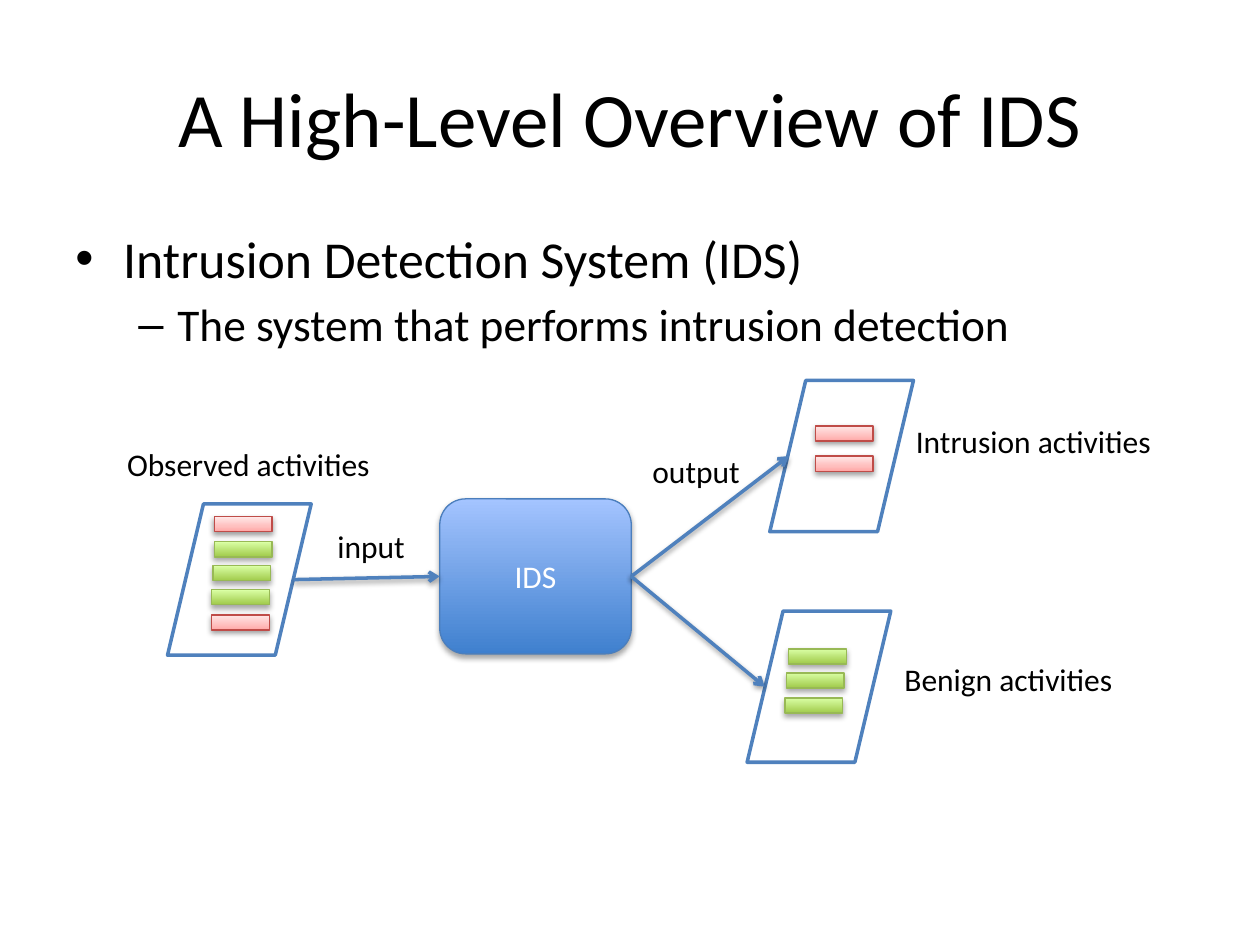
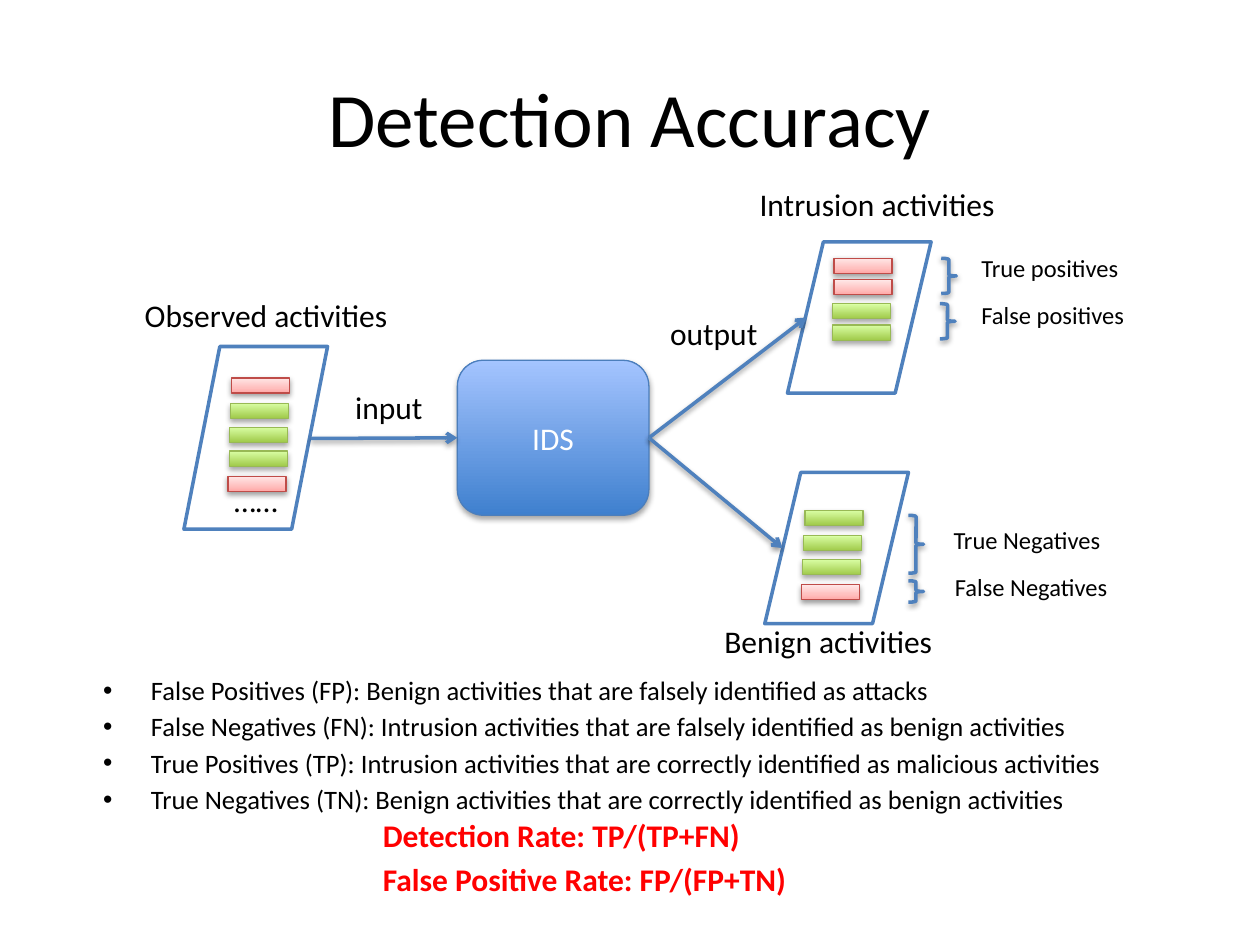
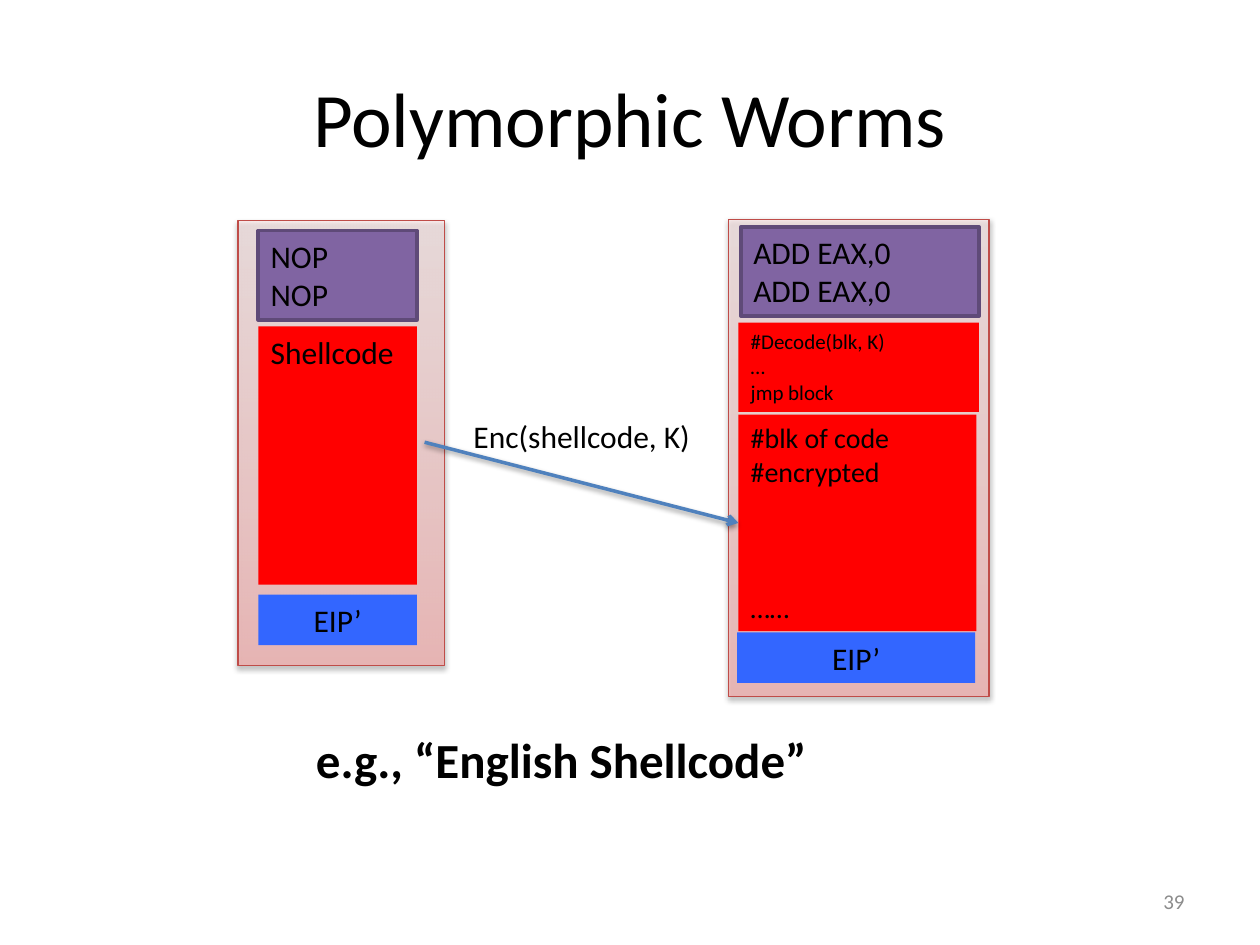
from dataclasses import dataclass
from typing import Any, NamedTuple, Optional

from lxml.etree import SubElement
from pptx import Presentation
from pptx.dml.color import RGBColor
from pptx.enum.shapes import MSO_CONNECTOR, MSO_SHAPE
from pptx.enum.text import MSO_ANCHOR, PP_ALIGN
from pptx.oxml.ns import qn
from pptx.util import Pt

PX = 9144
FONT = "Calibri"
LINE_GAP = 0.17
LEFT_SIDE, RIGHT_SIDE = 1, 3
TOKEN_SIZE = (46, 12)
COLORS = {
    "ink": "000000",
    "paper": "FFFFFF",
    "accent": "4F81BD",
    "system_edge": "4B7EBC",
    "attack_edge": "BF4C48",
    "benign_edge": "98B955",
    "sled": "8064A2",
    "sled_edge": "5F4A78",
    "code": "FF0000",
    "address": "3366FF",
    "page": "8C8C8C",
}
GRADIENTS = {
    "system": ((0, "3F80CE"), (100, "A4C4FF")),
    "attack": ((0, "FFA6A5"), (35, "FFC0BF"), (100, "FFE7E7")),
    "benign": ((0, "A0CA4A"), (100, "DAFFA5")),
}


class Box(NamedTuple):
    left: int
    top: int
    width: int
    height: int

    def moved(self, dx: int, dy: int) -> "Box":
        return Box(self.left + dx, self.top + dy, self.width, self.height)


class Point(NamedTuple):
    x: int
    y: int


class Bullet(NamedTuple):
    mark: str
    left: int
    hang: int
    level: int = 0


class Line(NamedTuple):
    text: str
    size: float = 18
    bullet: Optional[Bullet] = None
    gap: float = 0


class Shadow(NamedTuple):
    opacity: int
    distance: int


@dataclass(frozen=True)
class Label:
    box: Box
    lines: tuple[Line, ...]
    color: str = "ink"
    bold: bool = False
    align: PP_ALIGN = PP_ALIGN.LEFT
    anchor: MSO_ANCHOR = MSO_ANCHOR.TOP
    wrap: bool = False


@dataclass(frozen=True)
class Stack:
    first: Point
    last: Point
    kinds: tuple[str, ...]


@dataclass(frozen=True)
class Block:
    box: Box
    lines: tuple[Line, ...]
    fill: str
    edge: Optional[str] = None
    align: PP_ALIGN = PP_ALIGN.LEFT


SOFT = Shadow(35, 23000)
FIRM = Shadow(38, 20000)
TOKEN_SHADOWS = {"attack": FIRM, "benign": SOFT}
MAIN_BULLET = Bullet("•", 38, 38)
SUB_BULLET = Bullet("–", 81, 31, 1)


def apply(target: Any, values: dict[str, Any]) -> None:
    for name, value in values.items():
        setattr(target, name, value)


def rgb(name: str) -> RGBColor:
    return RGBColor.from_string(COLORS[name])


def emu(lengths: tuple[int, ...]) -> list[int]:
    return [length * PX for length in lengths]


def spaced(size: float, *texts: str, bullet: Optional[Bullet] = None) -> tuple[Line, ...]:
    return tuple(
        Line(text, size, bullet, size * LINE_GAP if index else 0)
        for index, text in enumerate(texts)
    )


def write(frame: Any, label: Label) -> None:
    apply(frame, {"word_wrap": label.wrap, "vertical_anchor": label.anchor})
    for index, line in enumerate(label.lines):
        paragraph = frame.add_paragraph() if index else frame.paragraphs[0]
        if line.bullet:
            paragraph.level = line.bullet.level
            properties = paragraph._p.get_or_add_pPr()
            properties.set("marL", str(line.bullet.left * PX))
            properties.set("indent", str(-line.bullet.hang * PX))
            SubElement(properties, qn("a:buFont"), typeface="Arial")
            SubElement(properties, qn("a:buChar"), char=line.bullet.mark)
        apply(paragraph, {"alignment": label.align, "space_before": Pt(line.gap)})
        run = paragraph.add_run()
        run.text = line.text
        apply(run.font, {"name": FONT, "size": Pt(line.size), "bold": label.bold})
        run.font.color.rgb = rgb(label.color)


def add_label(slide: Any, label: Label) -> None:
    write(slide.shapes.add_textbox(*emu(label.box)).text_frame, label)


def add_title(slide: Any, title: str) -> None:
    add_label(slide, Label(Box(50, 30, 900, 125), (Line(title, 44),), wrap=True,
                           align=PP_ALIGN.CENTER, anchor=MSO_ANCHOR.MIDDLE))


def cast_shadow(effects: Any, shadow: Shadow) -> None:
    outer = SubElement(effects, qn("a:outerShdw"), blurRad="40000",
                       dist=str(shadow.distance), dir="5400000", rotWithShape="0")
    color = SubElement(outer, qn("a:srgbClr"), val=COLORS["ink"])
    SubElement(color, qn("a:alpha"), val=str(shadow.opacity * 1000))


def add_outline(slide: Any, preset: MSO_SHAPE, box: Box, fill: Optional[str] = None,
                edge: Optional[str] = None, weight: float = 2,
                shadow: Optional[Shadow] = None) -> Any:
    outline = slide.shapes.add_shape(preset, *emu(box))
    if fill:
        outline.fill.solid()
        outline.fill.fore_color.rgb = rgb(fill)
    else:
        outline.fill.background()
    if edge:
        outline.line.color.rgb = rgb(edge)
        outline.line.width = Pt(weight)
    else:
        outline.line.fill.background()
    outline.shadow.inherit = False
    if shadow:
        cast_shadow(outline.element.spPr.find(qn("a:effectLst")), shadow)
    return outline


def add_glossy(slide: Any, preset: MSO_SHAPE, box: Box, kind: str,
               shadow: Shadow, opacity: int = 100) -> Any:
    glossy = add_outline(slide, preset, box, edge=f"{kind}_edge", weight=0.75, shadow=shadow)
    glossy.fill.gradient()
    glossy.fill.gradient_angle = 90
    stops = glossy.element.spPr.find(qn("a:gradFill")).find(qn("a:gsLst"))
    stops.clear()
    for position, shade in GRADIENTS[kind]:
        stop = SubElement(stops, qn("a:gs"), pos=str(position * 1000))
        color = SubElement(stop, qn("a:srgbClr"), val=shade)
        if opacity < 100:
            SubElement(color, qn("a:alpha"), val=str(opacity * 1000))
    return glossy


def add_arrow(slide: Any, start: Point, end: Point) -> Any:
    arrow = slide.shapes.add_connector(MSO_CONNECTOR.STRAIGHT, *emu(start + end))
    arrow.line.color.rgb = rgb("accent")
    arrow.line.width = Pt(2)
    properties = arrow.element.spPr
    SubElement(properties.find(qn("a:ln")), qn("a:tailEnd"), type="arrow")
    cast_shadow(SubElement(properties, qn("a:effectLst")), FIRM)
    return arrow


def add_stack(slide: Any, stack: Stack) -> None:
    steps = len(stack.kinds) - 1
    for index, kind in enumerate(stack.kinds):
        left, top = (
            round(start + (end - start) * index / steps)
            for start, end in zip(stack.first, stack.last)
        )
        add_glossy(slide, MSO_SHAPE.RECTANGLE, Box(left, top, *TOKEN_SIZE), kind,
                   TOKEN_SHADOWS[kind])


def add_pipeline(slide: Any, dx: int, dy: int, observed: Box, source: Point,
                 stacks: tuple[Stack, ...]) -> None:
    system = add_glossy(slide, MSO_SHAPE.ROUNDED_RECTANGLE,
                        Box(349, 396, 152, 123).moved(dx, dy), "system", SOFT)
    write(system.text_frame, Label(observed, (Line("IDS"),), "paper", wrap=True,
                                   align=PP_ALIGN.CENTER, anchor=MSO_ANCHOR.MIDDLE))
    intrusion = Box(611, 302, 114, 120).moved(dx, dy)
    benign = Box(593, 485, 114, 120).moved(dx, dy)
    for sheet in (observed, intrusion, benign):
        add_outline(slide, MSO_SHAPE.PARALLELOGRAM, sheet, "paper", "accent")
    add_arrow(slide, source, Point(349 + dx, 458 + dy)).end_connect(system, LEFT_SIDE)
    for target in (Point(626, 362), Point(607, 545)):
        output = add_arrow(slide, Point(501 + dx, 458 + dy),
                           Point(target.x + dx, target.y + dy))
        output.begin_connect(system, RIGHT_SIDE)
    for stack in stacks:
        add_stack(slide, stack)
    add_label(slide, Label(Box(258, 413, 75, 40).moved(dx, dy), (Line("input"),)))
    add_label(slide, Label(Box(508, 354, 90, 40).moved(dx, dy), (Line("output"),)))


def build_overview(slide: Any) -> None:
    add_title(slide, "A High-Level Overview of IDS")
    add_label(slide, Label(Box(50, 175, 900, 108), (
        Line("Intrusion Detection System (IDS)", 29.6, MAIN_BULLET),
        Line("The system that performs intrusion detection", 25.9, SUB_BULLET,
             25.9 * LINE_GAP),
    ), wrap=True))
    add_pipeline(slide, 0, 0, Box(133, 400, 114, 120), Point(233, 460), (
        Stack(Point(170, 410), Point(168, 488),
              ("attack", "benign", "benign", "benign", "attack")),
        Stack(Point(647, 338), Point(647, 362), ("attack",) * 2),
        Stack(Point(626, 515), Point(623, 554), ("benign",) * 3),
    ))
    for box, caption in (
        (Box(91, 348, 215, 40), "Observed activities"),
        (Box(717, 330, 209, 40), "Intrusion activities"),
        (Box(708, 519, 187, 40), "Benign activities"),
    ):
        add_label(slide, Label(box, (Line(caption),)))


def build_accuracy(slide: Any) -> None:
    add_title(slide, "Detection Accuracy")
    add_pipeline(slide, 14, -110, Box(146, 275, 114, 145), Point(247, 348), (
        Stack(Point(184, 300), Point(181, 378),
              ("attack", "benign", "benign", "benign", "attack")),
        Stack(Point(662, 205), Point(662, 222), ("attack",) * 2),
        Stack(Point(661, 241), Point(661, 258), ("benign",) * 2),
        Stack(Point(639, 405), Point(636, 464), ("benign",) * 3 + ("attack",)),
    ))
    for box, caption in (
        (Box(105, 230, 215, 40), "Observed activities"),
        (Box(593, 142, 209, 40), "Intrusion activities"),
        (Box(565, 489, 187, 40), "Benign activities"),
        (Box(176, 377, 57, 40), "……"),
    ):
        add_label(slide, Label(box, (Line(caption),)))
    for brace, box, outcome in (
        (Box(747, 205, 12, 28), Box(769, 196, 131, 34), "True positives"),
        (Box(746, 241, 12, 28), Box(769, 233, 151, 34), "False positives"),
        (Box(721, 409, 12, 46), Box(747, 412, 153, 34), "True Negatives"),
        (Box(721, 461, 12, 17), Box(748, 449, 153, 34), "False Negatives"),
    ):
        add_outline(slide, MSO_SHAPE.RIGHT_BRACE, brace, edge="accent", shadow=FIRM)
        add_label(slide, Label(box, (Line(outcome, 14),), wrap=True))
    add_label(slide, Label(Box(72, 530, 900, 114), spaced(
        15.2,
        "False Positives (FP): Benign activities that are falsely identified as attacks",
        "False Negatives (FN): Intrusion activities that are falsely identified as benign activities",
        "True Positives (TP): Intrusion activities that are correctly identified as malicious activities",
        "True Negatives (TN): Benign activities that are correctly identified as benign activities",
        bullet=MAIN_BULLET,
    ), wrap=True))
    add_label(slide, Label(Box(294, 643, 438, 85), spaced(
        18, "Detection Rate: TP/(TP+FN)", "False Positive Rate: FP/(FP+TN)",
    ), "code", bold=True, wrap=True))


def add_block(slide: Any, block: Block) -> Any:
    region = add_outline(slide, MSO_SHAPE.RECTANGLE, block.box, block.fill, block.edge)
    write(region.text_frame, Label(block.box, block.lines, align=block.align, wrap=True))
    return region


def build_worms(slide: Any) -> None:
    for payload in (Box(578, 174, 207, 379), Box(189, 175, 164, 353)):
        add_glossy(slide, MSO_SHAPE.RECTANGLE, payload, "attack", FIRM, opacity=56)
    add_title(slide, "Polymorphic Worms")
    for block in (
        Block(Box(205, 472, 126, 40), (Line("EIP’"),), "address", align=PP_ALIGN.CENTER),
        Block(Box(205, 259, 126, 205), (Line("Shellcode"),), "code"),
        Block(Box(205, 183, 126, 71), (Line("NOP"),) * 2, "sled", "sled_edge"),
        Block(Box(588, 180, 189, 71), (Line("ADD EAX,0"),) * 2, "sled", "sled_edge"),
        Block(Box(586, 256, 191, 71),
              (Line("#Decode(blk, K)", 12), Line("…", 12), Line("jmp block", 12)), "code"),
        Block(Box(585, 502, 189, 40), (Line("EIP’"),), "address", align=PP_ALIGN.CENTER),
    ):
        add_block(slide, block)
    encrypted = add_block(slide, Block(Box(586, 329, 189, 172), (
        Line("#blk of code", 16), Line("#encrypted", 16), Line("……", 16, gap=58.5),
    ), "code"))
    add_arrow(slide, Point(337, 351), Point(586, 415)).end_connect(encrypted, LEFT_SIDE)
    add_label(slide, Label(Box(366, 326, 194, 40), (Line("Enc(shellcode, K)"),)))
    add_label(slide, Label(Box(241, 574, 414, 57),
                           (Line("e.g., “English Shellcode”", 28),), bold=True))
    add_label(slide, Label(Box(717, 695, 233, 40), (Line("39", 12),), "page", wrap=True,
                           align=PP_ALIGN.RIGHT, anchor=MSO_ANCHOR.MIDDLE))


def main() -> None:
    deck = Presentation()
    apply(deck, {"slide_width": 1000 * PX, "slide_height": 750 * PX})
    for build in (build_overview, build_accuracy, build_worms):
        build(deck.slides.add_slide(deck.slide_layouts[6]))
    deck.save("out.pptx")


if __name__ == "__main__":
    main()
